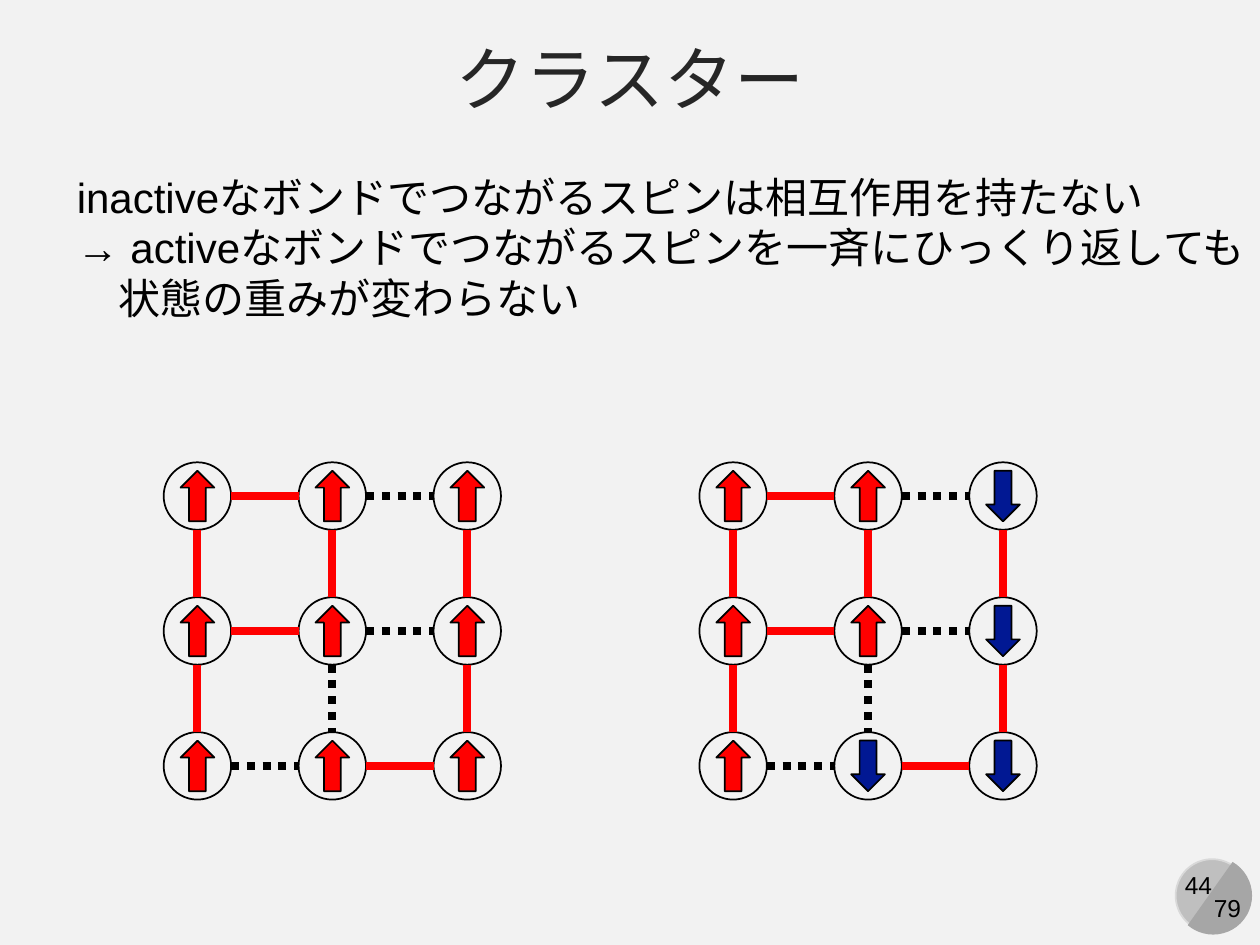
from lxml import etree
from pptx import Presentation, util as u
from pptx.dml.color import RGBColor
from pptx.enum import dml, shapes, text
from pptx.oxml.ns import qn

COLORS = {"bg": "F2F2F2", "title": "262626", "black": "000000", "up": "FF0000",
          "down": "011893", "disc": "BFBFBF", "rim": "D9D9D9", "chord": "A6A6A6"}
SHAPE = shapes.MSO_SHAPE


def add_shape(parent, kind, x, y, w, h, fill=None, line=None):
    sp = parent.shapes.add_shape(kind, u.Cm(x), u.Cm(y), u.Cm(w), u.Cm(h))
    sp.shadow.inherit = False
    if fill:
        sp.fill.solid()
        sp.fill.fore_color.rgb = RGBColor.from_string(COLORS[fill])
    else:
        sp.fill.background()
    if line:
        sp.line.color.rgb = RGBColor.from_string(COLORS[line])
        sp.line.width = u.Pt(1)
    else:
        sp.line.fill.background()
    return sp


def add_text(x, y, w, h, lines, size, color, align, wrap=False):
    sp = s.shapes.add_textbox(u.Cm(x), u.Cm(y), u.Cm(w), u.Cm(h))
    tf = sp.text_frame
    tf.word_wrap = wrap
    for i, line in enumerate(lines):
        p = tf.paragraphs[0] if i == 0 else tf.add_paragraph()
        p.alignment = align
        r = p.add_run()
        r.text = line
        r.font.name = "Arial"
        r.font.size = u.Pt(size)
        r.font.color.rgb = RGBColor.from_string(COLORS[color])
    return tf


prs = Presentation()
prs.slide_width, prs.slide_height = u.Cm(25.4), u.Cm(19.05)
s = prs.slides.add_slide(prs.slide_layouts[6])
s.background.fill.solid()
s.background.fill.fore_color.rgb = RGBColor.from_string(COLORS["bg"])

center, left = text.PP_ALIGN.CENTER, text.PP_ALIGN.LEFT
add_shape(s, SHAPE.OVAL, 23.7, 17.32, 1.47, 1.47, "disc", "rim")
add_text(23.6, 17.42, 1.12, 0.86, ["44"], 14, "black", center)
chord = add_shape(s, SHAPE.CHORD, 23.67, 17.27, 1.57, 1.57, "chord")
chord.adjustments[0], chord.adjustments[1] = 27, 141.42
chord.rotation = 255
add_text(24.21, 17.88, 1.07, 0.86, ["79"], 14, "black", center)

tf = add_text(0, 0.53, 25.4, 2.08, ["クラスター"], 40, "title", center, wrap=True)
tf.vertical_anchor = text.MSO_ANCHOR.MIDDLE
add_text(1.3, 3.33, 24.36, 3.33, [
    "inactiveなボンドでつながるスピンは相互作用を持たない",
    "→ activeなボンドでつながるスピンを一斉にひっくり返しても",
    "\u3000状態の重みが変わらない".replace("\u3000", "　"),
], 24, "black", left)

TOP, PITCH, SIZE = 9.32, 2.72, 1.36
ARROW_W, ARROW_H = 0.68, 1.02
ACROSS = ["-.", "-.", ".-"]
DOWNWARD = ["---", "-.-"]
LATTICES = [(3.3, ["UUU", "UUU", "UUU"]), (14.1, ["UUD", "UUD", "UDD"])]

for x0, spins in LATTICES:
    lattice = s.shapes.add_group_shape()
    for row, states in enumerate(spins):
        for col, state in enumerate(states):
            x, y = x0 + col * PITCH, TOP + row * PITCH
            add_shape(lattice, SHAPE.OVAL, x, y, SIZE, SIZE, line="black")
            arrow = add_shape(lattice, SHAPE.DOWN_ARROW, x + (SIZE - ARROW_W) / 2,
                              y + (SIZE - ARROW_H) / 2, ARROW_W, ARROW_H,
                              "up" if state == "U" else "down", "black")
            arrow.rotation = 180 if state == "U" else 0

    for bonds, dx, dy in ((ACROSS, 1, 0), (DOWNWARD, 0, 1)):
        for row, marks in enumerate(bonds):
            for col, mark in enumerate(marks):
                x = x0 + col * PITCH + SIZE / 2 * (1 + dx)
                y = TOP + row * PITCH + SIZE / 2 * (1 + dy)
                gap = PITCH - SIZE
                bond = lattice.shapes.add_connector(
                    shapes.MSO_CONNECTOR.STRAIGHT, u.Cm(x), u.Cm(y),
                    u.Cm(x + dx * gap), u.Cm(y + dy * gap))
                active = mark == "-"
                bond.line.color.rgb = RGBColor.from_string(COLORS["up" if active else "black"])
                bond.line.width = u.Pt(4.5)
                if not active:
                    bond.line.dash_style = dml.MSO_LINE.ROUND_DOT
                etree.SubElement(bond._element.spPr, qn("a:effectLst"))

prs.save("out.pptx")
